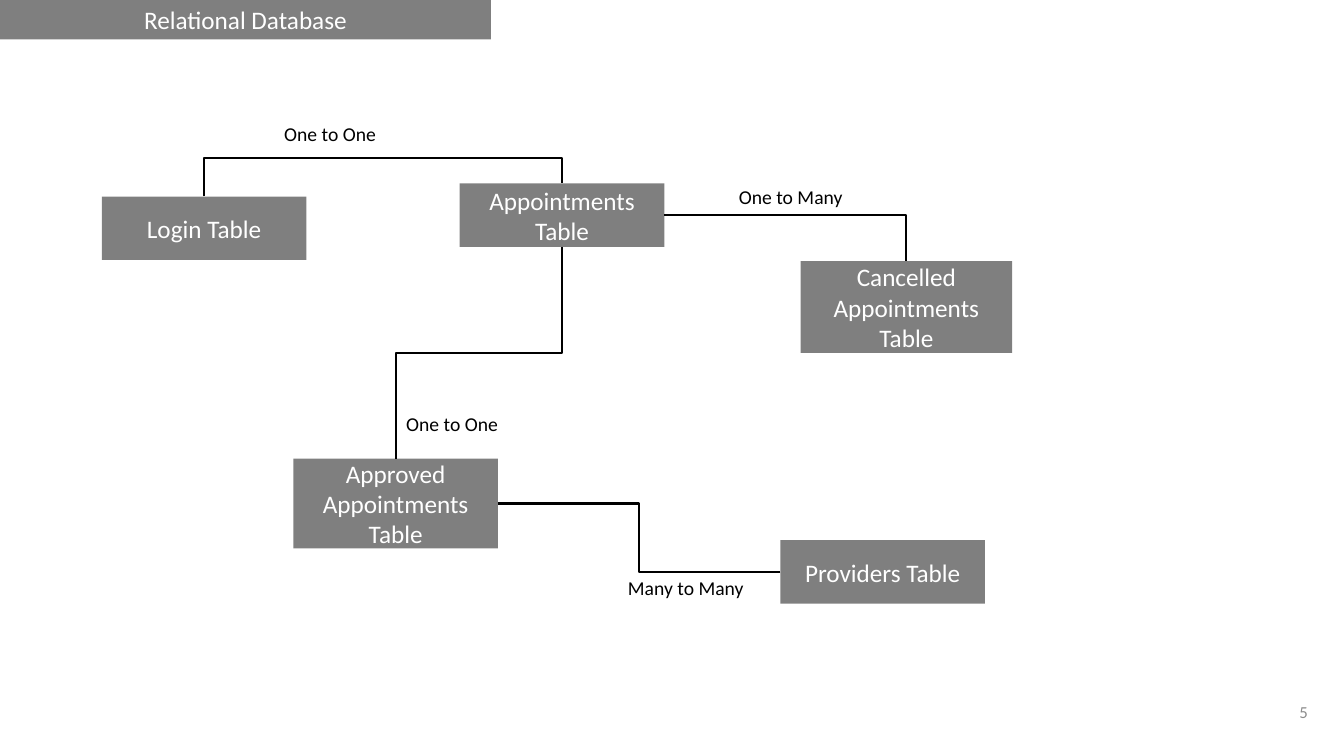
"""Build a slide that shows the tables of a relational database and their relations."""
from typing import NamedTuple, Optional

from lxml.etree import SubElement
from pptx import Presentation
from pptx.dml.color import RGBColor
from pptx.enum.shapes import MSO_CONNECTOR as Connector, MSO_SHAPE as Preset
from pptx.enum.text import MSO_ANCHOR as Anchor, MSO_AUTO_SIZE as AutoSize, PP_ALIGN as Align
from pptx.oxml.ns import qn
from pptx.util import Inches, Pt

BLACK = RGBColor(0x00, 0x00, 0x00)
WHITE = RGBColor(0xFF, 0xFF, 0xFF)
NUMBER_GREY = RGBColor(0x8C, 0x8C, 0x8C)
FONT = "Calibri"
TOP, LEFT, BOTTOM, RIGHT = range(4)


class Table(NamedTuple):
    name: str
    left: float
    top: float
    width: float = 2.03
    height: float = 0.63


class Label(NamedTuple):
    text: str
    left: float
    top: float
    width: float


class Relation(NamedTuple):
    start: str
    start_side: int
    end: str
    end_side: int
    turned: bool = False
    preset: str = "bentConnector3"
    bend_top: Optional[float] = None


TABLES = [
    Table("Appointments Table", 4.56, 1.82),
    Table("Approved Appointments Table", 2.91, 4.55, height=0.89),
    Table("Login Table", 1.01, 1.95),
    Table("Cancelled Appointments Table", 7.94, 2.59, 2.1, 0.91),
    Table("Providers Table", 7.74, 5.36),
]
RELATIONS = [
    Relation("Login Table", TOP, "Appointments Table", TOP, turned=True, bend_top=1.57),
    Relation("Appointments Table", BOTTOM, "Approved Appointments Table", TOP, turned=True),
    Relation("Appointments Table", RIGHT, "Cancelled Appointments Table", TOP,
             preset="bentConnector2"),
    Relation("Providers Table", LEFT, "Approved Appointments Table", RIGHT),
]
LABELS = [
    Label("One to One", 2.72, 1.16, 1.12),
    Label("One to One", 3.93, 4.04, 1.12),
    Label("One to Many", 7.23, 1.79, 1.24),
    Label("Many to Many", 6.13, 5.66, 1.36),
]


def write(shape, text: str, size: int, color: RGBColor, align: Align, anchor: Anchor) -> None:
    """Write one formatted run into a shape."""
    frame = shape.text_frame
    frame.vertical_anchor = anchor
    para = frame.paragraphs[0]
    para.alignment = align
    span = para.add_run()
    span.text = text
    span.font.name = FONT
    span.font.size = Pt(size)
    span.font.color.rgb = color


def style_box(shape, text: str) -> None:
    """Give a shape the half-transparent fill and its white caption."""
    shape.fill.solid()
    shape.fill.fore_color.rgb = BLACK
    color = shape.fill._xPr.find(qn("a:solidFill"))[0]
    SubElement(color, qn("a:alpha"), val="50000")
    shape.line.fill.background()
    write(shape, text, 18, WHITE, Align.CENTER, Anchor.MIDDLE)


def add_title(page, text: str) -> None:
    """Turn the title placeholder into the bar at the top left."""
    title = page.shapes.title
    title.left, title.top = Inches(0), Inches(-0.01)
    title.width, title.height = Inches(4.87), Inches(0.4)
    title.text_frame.word_wrap = True
    title.text_frame.auto_size = AutoSize.NONE
    style_box(title, text)


def add_table_box(page, table: Table):
    """Add the box of one database table."""
    box = page.shapes.add_shape(Preset.RECTANGLE, *map(Inches, table[1:]))
    box.shadow.inherit = False
    style_box(box, table.name)
    return box


def add_relation(page, relation: Relation, boxes: dict) -> None:
    """Join two boxes with an elbow line, turned by 90 degrees if it leaves vertically."""
    line = page.shapes.add_connector(Connector.ELBOW, 0, 0, 0, 0)
    line.begin_connect(boxes[relation.start], relation.start_side)
    line.end_connect(boxes[relation.end], relation.end_side)
    line.line.color.rgb = BLACK
    line.line.width = Pt(1.5)
    properties = line._element.spPr
    SubElement(properties, qn("a:effectLst"))
    geometry = properties.find(qn("a:prstGeom"))
    geometry.set("prst", relation.preset)
    begin_x, begin_y, end_x, end_y = line.begin_x, line.begin_y, line.end_x, line.end_y
    if relation.bend_top is not None:
        bend = (Inches(relation.bend_top) - begin_y) / (end_y - begin_y)
        guides = geometry.find(qn("a:avLst"))
        SubElement(guides, qn("a:gd"), name="adj1", fmla=f"val {round(bend * 100000)}")
    if relation.turned:
        middle_x, middle_y = (begin_x + end_x) // 2, (begin_y + end_y) // 2
        half_x, half_y = (end_y - begin_y) // 2, (begin_x - end_x) // 2
        line.begin_x, line.begin_y = middle_x - half_x, middle_y - half_y
        line.end_x, line.end_y = middle_x + half_x, middle_y + half_y
        properties.find(qn("a:xfrm")).set("rot", "5400000")


def add_label(page, label: Label) -> None:
    """Add the caption of a relation."""
    box = page.shapes.add_textbox(*map(Inches, (*label[1:], 0.34)))
    box.text_frame.word_wrap = False
    box.text_frame.auto_size = AutoSize.SHAPE_TO_FIT_TEXT
    write(box, label.text, 14, BLACK, Align.LEFT, Anchor.TOP)


def add_page_number(page, number: str) -> None:
    """Add the number at the bottom right."""
    box = page.shapes.add_textbox(*map(Inches, (12.37, 6.86, 0.7, 0.4)))
    box.text_frame.word_wrap = True
    write(box, number, 12, NUMBER_GREY, Align.RIGHT, Anchor.MIDDLE)


def main() -> None:
    """Build and save the deck."""
    deck = Presentation()
    deck.slide_width, deck.slide_height = Inches(13.33), Inches(7.5)
    page = deck.slides.add_slide(deck.slide_layouts.get_by_name("Title Only"))
    add_title(page, "Relational Database")
    add_page_number(page, "5")
    boxes = {table.name: add_table_box(page, table) for table in TABLES}
    for relation in RELATIONS:
        add_relation(page, relation, boxes)
    for label in LABELS:
        add_label(page, label)
    deck.save("out.pptx")


if __name__ == "__main__":
    main()
